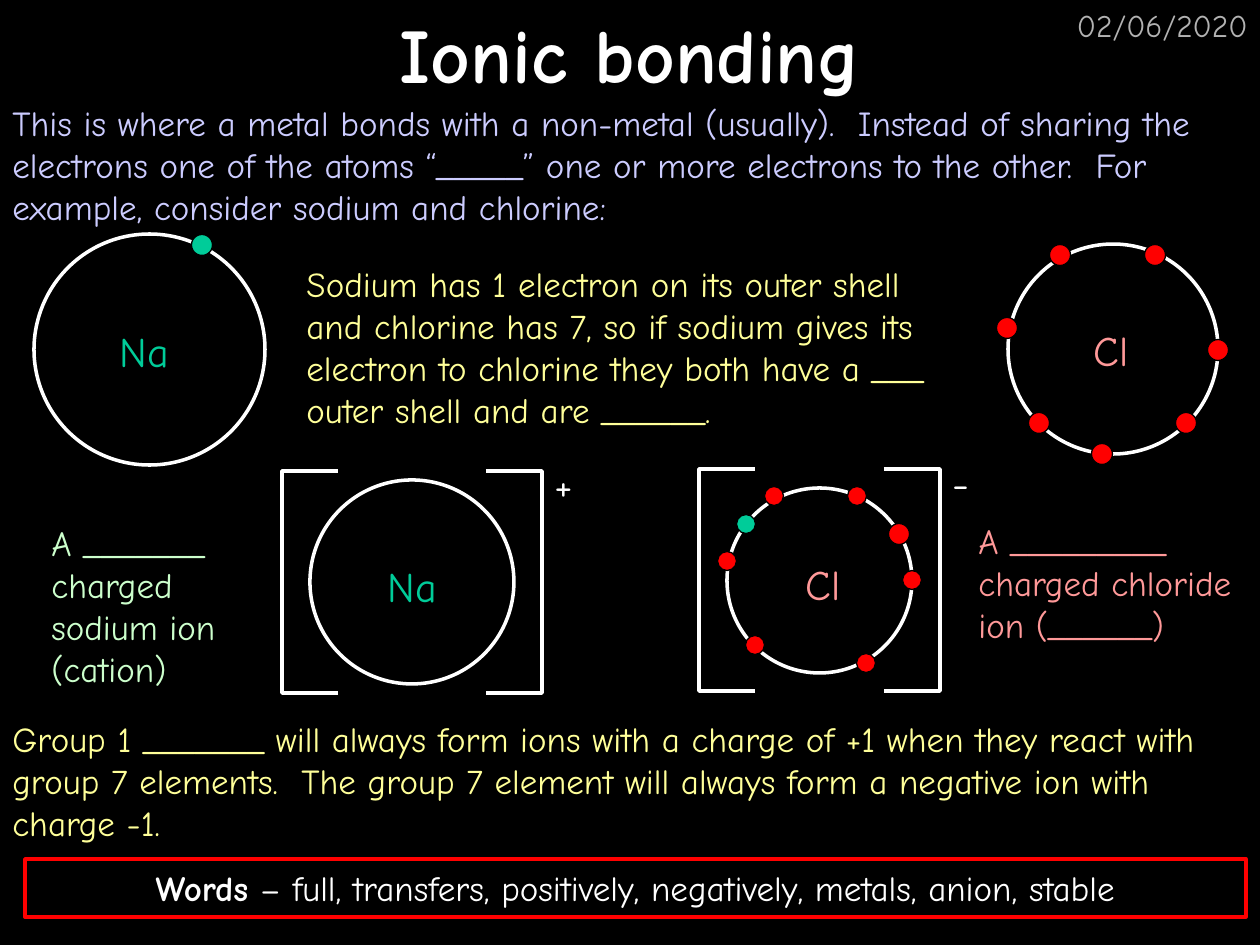
from pptx import Presentation
from pptx.dml.color import RGBColor
from pptx.enum.shapes import MSO_SHAPE
from pptx.enum.text import MSO_ANCHOR, PP_ALIGN
from pptx.util import Emu, Pt

OVAL, RECT = MSO_SHAPE.OVAL, MSO_SHAPE.RECTANGLE
OPEN, CLOSE = MSO_SHAPE.LEFT_BRACKET, MSO_SHAPE.RIGHT_BRACKET
LEFT, MID, RIGHT = PP_ALIGN.LEFT, PP_ALIGN.CENTER, PP_ALIGN.RIGHT
TOP, CENTRE = MSO_ANCHOR.TOP, MSO_ANCHOR.MIDDLE

PX = 914400 / 126
FONT = "Comic Neue"
BLACK, WHITE, GREY, RED, GREEN = "000000", "FFFFFF", "B2B2B2", "FF0000", "00CC99"
LILAC, YELLOW, MINT, PINK = "CCCCFF", "FFFF99", "CCFFCC", "FF9999"

TITLE = ("Ionic bonding", (0, 0, 1260, 105))
DATE = ("02/06/2020", (998, 0, 262, 63))
WORDS = ("Words", " – full, transfers, positively, negatively, metals, anion, stable")
WORDS_BOX = (25, 859, 1221, 58)

# text, box, colour
NOTES = [
    ("This is where a metal bonds with a non-metal (usually).  Instead of sharing "
     "the electrons one of the atoms “_____” one or more electrons to the other.  "
     "For example, consider sodium and chlorine:", (0, 95, 1260, 139), LILAC),
    ("Sodium has 1 electron on its outer shell and chlorine has 7, so if sodium "
     "gives its electron to chlorine they both have a ___ outer shell and are "
     "______.", (294, 256, 672, 180), YELLOW),
    ("A _______ charged sodium ion (cation)", (39, 515, 220, 180), MINT),
    ("A _________ charged chloride ion (______)", (966, 513, 294, 180), PINK),
    ("Group 1 _______ will always form ions with a charge of +1 when they react "
     "with group 7 elements.  The group 7 element will always form a negative ion "
     "with charge -1.", (0, 711, 1260, 139), YELLOW),
]

# shell: left, top, diameter; electrons: centre x, centre y, diameter, colour
# bracket: left, right, top; sign: charge shown beside it
ATOMS = [
    dict(name="Na", colour=GREEN, shell=(34, 234, 231), label=(107, 319, 95, 63),
         electrons=[(202, 245, 21, GREEN)]),
    dict(name="Na", colour=GREEN, shell=(310, 480, 204), label=(375, 554, 83, 63),
         electrons=[], bracket=(282, 542, 471), sign="+"),
    dict(name="Cl", colour=PINK, shell=(1008, 244, 210), label=(1081, 318, 84, 63),
         electrons=[(x, y, 21, RED) for x, y in [
             (1060, 255), (1155, 255), (1007, 328), (1039, 423),
             (1186, 423), (1218, 350), (1102, 454)]]),
    dict(name="Cl", colour=PINK, shell=(727, 488, 185), label=(793, 552, 74, 63),
         electrons=[(746, 524, 19, GREEN)] + [(x, y, 19, RED) for x, y in [
             (774, 496), (857, 496), (727, 561), (755, 645),
             (866, 663), (912, 580)]] + [(899, 534, 21, RED)],
         bracket=(699, 940, 469), sign="-"),
]
ARM, TALL = 56, 222


def rgb(code):
    return RGBColor.from_string(code)


def place(box):
    return [Emu(round(v * PX)) for v in box]


def draw(home, kind, box, line, width=2, fill=None):
    shape = home.shapes.add_shape(kind, *place(box))
    shape.shadow.inherit = False
    if fill:
        shape.fill.solid()
        shape.fill.fore_color.rgb = rgb(fill)
    else:
        shape.fill.background()
    shape.line.color.rgb = rgb(line)
    shape.line.width = Pt(width)
    return shape


def write(shape, parts, size, colour, align=LEFT, anchor=TOP):
    """Fill a shape with one paragraph of runs and return the runs."""
    frame = shape.text_frame
    frame.word_wrap = True
    frame.vertical_anchor = anchor
    para = frame.paragraphs[0]
    para.alignment = align
    para.font.name, para.font.size = FONT, Pt(size)
    para.font.color.rgb = rgb(colour)
    runs = []
    for part in parts:
        run = para.add_run()
        run.text = part
        runs.append(run)
    return runs


def label(home, text, box, size, colour, **how):
    return write(home.shapes.add_textbox(*place(box)), [text], size, colour, **how)


def draw_atom(slide, atom):
    group = slide.shapes.add_group_shape()
    x, y, size = atom["shell"]
    draw(group, OVAL, (x, y, size, size), WHITE)
    label(group, atom["name"], atom["label"], 24, atom["colour"])
    for x, y, size, colour in atom["electrons"]:
        box = (x - size / 2, y - size / 2, size, size)
        draw(group, OVAL, box, BLACK, 0.75, colour)
    if "bracket" in atom:
        left, right, top = atom["bracket"]
        for kind, x in ((OPEN, left), (CLOSE, right - ARM)):
            draw(group, kind, (x, top, ARM, TALL), WHITE).adjustments[0] = 0
        label(group, atom["sign"], (right, top - 19, 55, 63), 24, WHITE)


def main():
    deck = Presentation()
    deck.slide_width, deck.slide_height = place((1260, 945))
    slide = deck.slides.add_slide(deck.slide_layouts[6])
    slide.background.fill.solid()
    slide.background.fill.fore_color.rgb = rgb(BLACK)

    label(slide, *DATE, 18, GREY, align=RIGHT)
    title = label(slide, *TITLE, 44, WHITE, align=MID, anchor=CENTRE)
    title[0].font.bold = True
    for text, box, colour in NOTES:
        label(slide, text, box, 20, colour)
    for atom in ATOMS:
        draw_atom(slide, atom)
    words = draw(slide, RECT, WORDS_BOX, RED)
    write(words, WORDS, 20, WHITE, MID, CENTRE)[0].font.bold = True
    deck.save("out.pptx")


if __name__ == "__main__":
    main()
